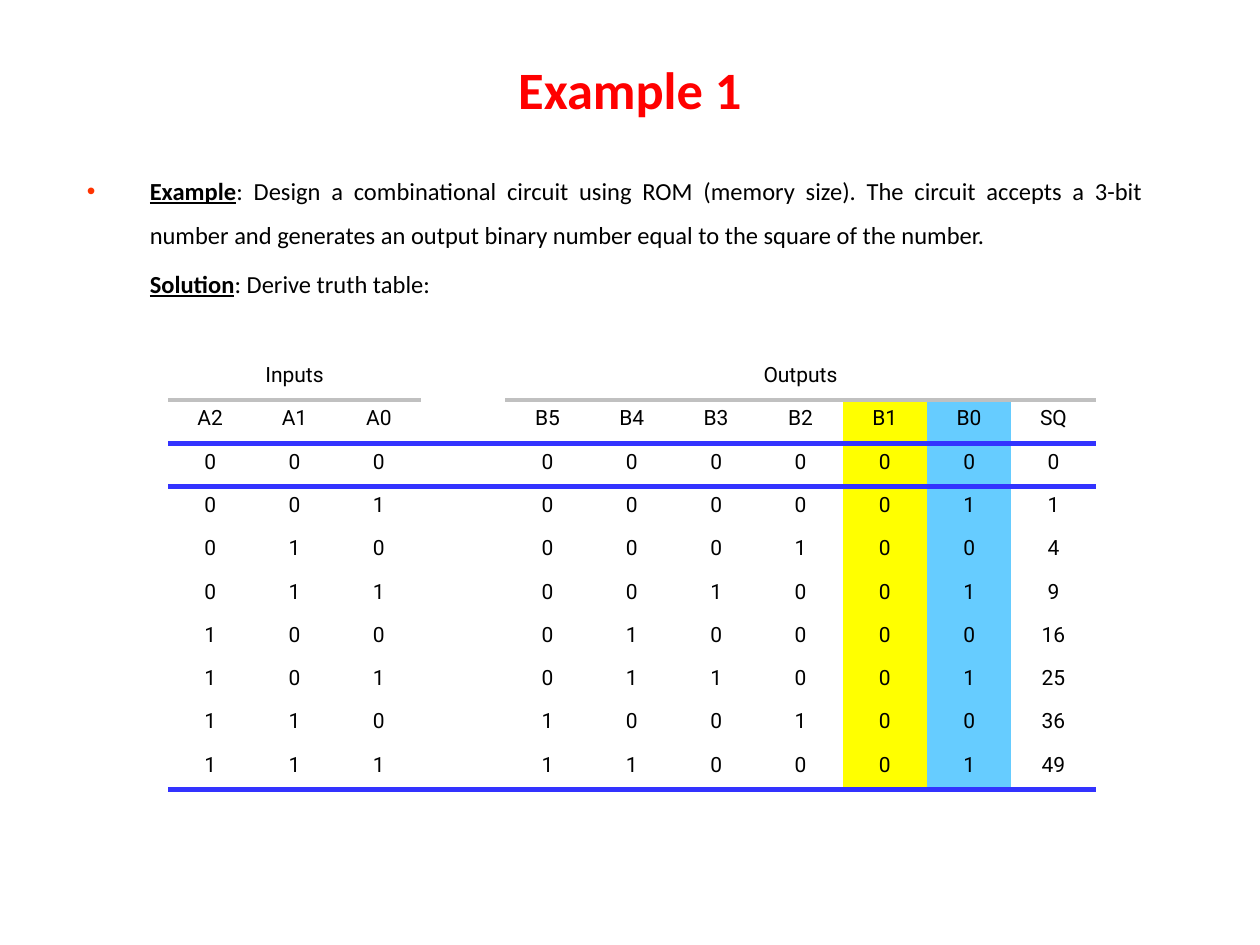
from dataclasses import dataclass

from lxml.etree import SubElement as Sub
from pptx import Presentation
from pptx.dml.color import RGBColor as RGB
from pptx.enum.text import MSO_ANCHOR as Anchor, PP_ALIGN as Align
from pptx.oxml.ns import qn
from pptx.util import Pt


@dataclass(frozen=True)
class Theme:
    font: str = "Calibri"
    grid_font: str = "Roboto"
    title_size: float = 30
    body_size: float = 14
    cell_size: float = 12
    red: str = "FF0000"
    bullet: str = "FF3300"
    black: str = "000000"
    gray: str = "C0C0C0"
    blue: str = "3333FF"
    yellow: str = "FFFF00"
    sky: str = "66CCFF"
    plain_grid: str = "{2D5ABB26-0587-4C30-8999-92F81FD0307C}"


class Deck:
    """Holds the theme and the slide being filled."""

    def __init__(self, theme):
        self.theme = theme
        self.file = Presentation()
        self.file.slide_width, self.file.slide_height = Pt(720), Pt(540)
        self.slide = self.file.slides.add_slide(self.file.slide_layouts[5])

    def run(self, para, text, size, color, font=None, bold=False, line=False):
        run = para.add_run()
        run.text = text
        style = run.font
        style.name, style.size = font or self.theme.font, Pt(size)
        style.bold, style.underline = bold, line
        style.color.rgb = RGB.from_string(color)

    def title(self, text, left, top, width, height):
        box = self.slide.shapes.title
        box.left, box.top = Pt(left), Pt(top)
        box.width, box.height = Pt(width), Pt(height)
        box.text_frame.vertical_anchor = Anchor.MIDDLE
        para = box.text_frame.paragraphs[0]
        para.alignment = Align.CENTER
        self.run(para, text, self.theme.title_size, self.theme.red, bold=True)

    def bullet(self, props, color, mark):
        Sub(Sub(props, qn("a:buClr")), qn("a:srgbClr"), val=color)
        Sub(props, qn("a:buFont"), typeface="Arial")
        Sub(props, qn("a:buChar"), char=mark)

    def body(self, items, left, top, width, height):
        """Each item is a lead word, its text and whether it has a bullet."""
        theme = self.theme
        box = self.slide.shapes.add_textbox(
            Pt(left), Pt(top), Pt(width), Pt(height))
        frame = box.text_frame
        frame.word_wrap = True
        for i, (lead, text, dot) in enumerate(items):
            para = frame.add_paragraph() if i else frame.paragraphs[0]
            props = para._p.get_or_add_pPr()
            props.set("marL", str(Pt(36)))
            props.set("indent", str(Pt(-36 if dot else 0)))
            if dot:
                self.bullet(props, theme.bullet, "•")
            para.alignment = Align.JUSTIFY
            para.line_spacing = 1.5
            if i:
                para.space_before = Pt(0.2 * theme.body_size)
            self.run(para, lead, theme.body_size, theme.black,
                     bold=True, line=True)
            self.run(para, text, theme.body_size, theme.black)

    def edge(self, cell, side, color):
        line = Sub(cell._tc.get_or_add_tcPr(), qn(f"a:ln{side}"), w=str(Pt(3)))
        Sub(Sub(line, qn("a:solidFill")), qn("a:srgbClr"), val=color)

    def cell(self, cell, text, fill, above, below):
        cell.margin_left = cell.margin_right = Pt(12)
        cell.margin_top = cell.margin_bottom = Pt(3.6)
        for side, color in (("T", above), ("B", below)):
            if color:
                self.edge(cell, side, color)
        if fill:
            cell.fill.solid()
            cell.fill.fore_color.rgb = RGB.from_string(fill)
        else:
            cell.fill.background()
        para = cell.text_frame.paragraphs[0]
        para.alignment = Align.CENTER
        size = self.theme.cell_size
        if text:
            self.run(para, text, size, self.theme.black, self.theme.grid_font)
        else:
            Sub(para._p, qn("a:endParaRPr"), sz=str(size * 100))

    def table(self, rows, spans, fills, rule, left, top, wide, high):
        """rule(row, col) gives the colour of the line above that cell."""
        count, cols = len(rows), len(rows[0])
        grid = self.slide.shapes.add_table(
            count, cols, Pt(left), Pt(top),
            Pt(wide * cols), Pt(high * count)).table
        grid.first_row = grid.horz_banding = False
        grid._tbl.tblPr.find(qn("a:tableStyleId")).text = self.theme.plain_grid
        for col in grid.columns:
            col.width = Pt(wide)
        for r, row in enumerate(rows):
            grid.rows[r].height = Pt(high)
            for c, text in enumerate(row):
                fill = fills.get(c) if r else None
                self.cell(grid.cell(r, c), text, fill,
                          rule(r, c), rule(r + 1, c))
        for first, last in spans:
            grid.cell(0, first).merge(grid.cell(0, last))


def truth():
    """Rows for each 3-bit number and its 6-bit square."""
    rows = [["Inputs", *[""] * 3, "Outputs", *[""] * 6],
            ["A2", "A1", "A0", "", "B5", "B4", "B3", "B2", "B1", "B0", "SQ"]]
    for n in range(8):
        rows.append([*f"{n:03b}", "", *f"{n * n:06b}", str(n * n)])
    return rows


def main():
    theme = Theme()
    deck = Deck(theme)
    deck.title("Example 1", 36, 5.76, 648, 90)
    deck.body([
        ("Example", ": Design a combinational circuit using ROM (memory size). "
         "The circuit accepts a 3-bit number and generates an output binary "
         "number equal to the square of the number.", True),
        ("Solution", ": Derive truth table:", False),
    ], 42.5, 88.6, 617.8, 102)
    rows = truth()
    gap = 3

    def rule(row, col):
        if row == 1 and col != gap:
            return theme.gray
        return theme.blue if row in (2, len(rows)) else None

    deck.table(rows, [(0, gap - 1), (gap + 1, 10)],
               {8: theme.yellow, 9: theme.sky}, rule,
               96, 203.8, 48.2, 24.77)
    deck.file.save("out.pptx")


if __name__ == "__main__":
    main()
